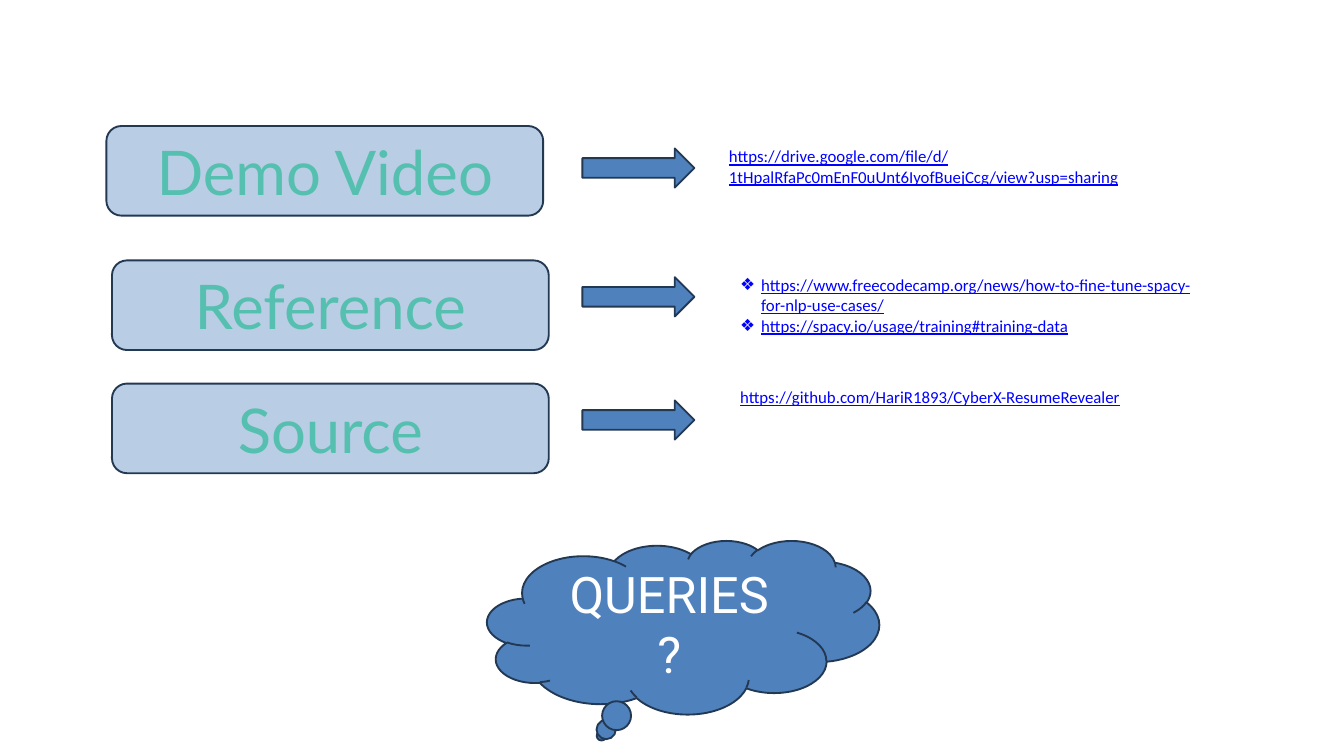
from lxml import etree
from pptx import Presentation
from pptx.dml.color import RGBColor
from pptx.enum.shapes import MSO_SHAPE
from pptx.enum.text import MSO_ANCHOR, MSO_AUTO_SIZE, PP_ALIGN
from pptx.oxml.ns import qn
from pptx.util import Pt

ROUNDED = MSO_SHAPE.ROUNDED_RECTANGLE
ARROW = MSO_SHAPE.RIGHT_ARROW
CLOUD = MSO_SHAPE.CLOUD_CALLOUT
MIDDLE = MSO_ANCHOR.MIDDLE
CENTER = PP_ALIGN.CENTER
GROW = MSO_AUTO_SIZE.SHAPE_TO_FIT_TEXT

COLORS = {
    "pale": "B9CDE5",
    "blue": "4F81BD",
    "edge": "233953",
    "label": "55C0AF",
    "link": "0000FF",
    "white": "FFFFFF",
}

# Positions are (left, top) and sizes are (width, height), in points.
ROWS = [
    {"label": "Demo Video", "label_at": (114, 135), "arrow_top": 159,
     "links": ["https://drive.google.com/file/d/1tHpalRfaPc0mEnF0uUnt6IyofBuejCcg/view?usp=sharing"],
     "links_at": (774, 153), "links_size": (498, 51)},
    {"label": "Reference", "label_at": (120, 279), "arrow_top": 297,
     "links": ["https://www.freecodecamp.org/news/how-to-fine-tune-spacy-for-nlp-use-cases/",
               "https://spacy.io/usage/training#training-data"],
     "links_at": (786, 291), "links_size": (516, 73), "bullet": "❖"},
    {"label": "Source", "label_at": (120, 411), "arrow_top": 429,
     "links": ["https://github.com/HariR1893/CyberX-ResumeRevealer"],
     "links_at": (786, 411), "links_size": (498, 29)},
]
QUERIES = ["QUERIES", "?"]
LABEL_SIZE = (468, 96)
ARROW_LEFT, ARROW_SIZE = 624, (120, 42)
CLOUD_AT, CLOUD_SIZE = (522, 579), (420, 186)
BULLET_INDENT = 22.5


def color(name):
    return RGBColor.from_string(COLORS[name])


def add_bullet(para, symbol):
    properties = para._p.get_or_add_pPr()
    properties.set("marL", str(Pt(BULLET_INDENT)))
    properties.set("indent", str(-Pt(BULLET_INDENT)))
    etree.SubElement(properties, qn("a:buFont"), typeface="Arial")
    etree.SubElement(properties, qn("a:buChar"), char=symbol)


def write(box, lines, *, font, size, fill, align=None, anchor=None,
          underline=None, bullet=None):
    frame = box.text_frame
    frame.word_wrap = True
    if anchor is not None:
        frame.vertical_anchor = anchor
    for index, line in enumerate(lines):
        para = frame.paragraphs[0] if index == 0 else frame.add_paragraph()
        if bullet:
            add_bullet(para, bullet)
        if align is not None:
            para.alignment = align
        span = para.add_run()
        span.text = line
        span.font.name = font
        span.font.size = Pt(size)
        span.font.underline = underline
        span.font.color.rgb = color(fill)


def add_block(page, kind, at, size, fill):
    shape = page.shapes.add_shape(kind, *map(Pt, at + size))
    shape.shadow.inherit = False
    shape.fill.solid()
    shape.fill.fore_color.rgb = color(fill)
    shape.line.color.rgb = color("edge")
    shape.line.width = Pt(2)
    return shape


def add_row(page, row):
    label = add_block(page, ROUNDED, row["label_at"], LABEL_SIZE, "pale")
    write(label, [row["label"]], font="Lato", size=66, fill="label",
          align=CENTER, anchor=MIDDLE)
    add_block(page, ARROW, (ARROW_LEFT, row["arrow_top"]), ARROW_SIZE, "blue")
    links = page.shapes.add_textbox(*map(Pt, row["links_at"] + row["links_size"]))
    write(links, row["links"], font="Calibri", size=18, fill="link",
          underline=True, bullet=row.get("bullet"))
    links.text_frame.auto_size = GROW


def main():
    deck = Presentation()
    deck.slide_width, deck.slide_height = Pt(1440), Pt(810)
    page = deck.slides.add_slide(deck.slide_layouts[6])
    for row in ROWS:
        add_row(page, row)
    cloud = add_block(page, CLOUD, CLOUD_AT, CLOUD_SIZE, "blue")
    write(cloud, QUERIES, font="Roboto", size=54, fill="white",
          align=CENTER, anchor=MIDDLE)
    deck.save("out.pptx")


if __name__ == "__main__":
    main()
